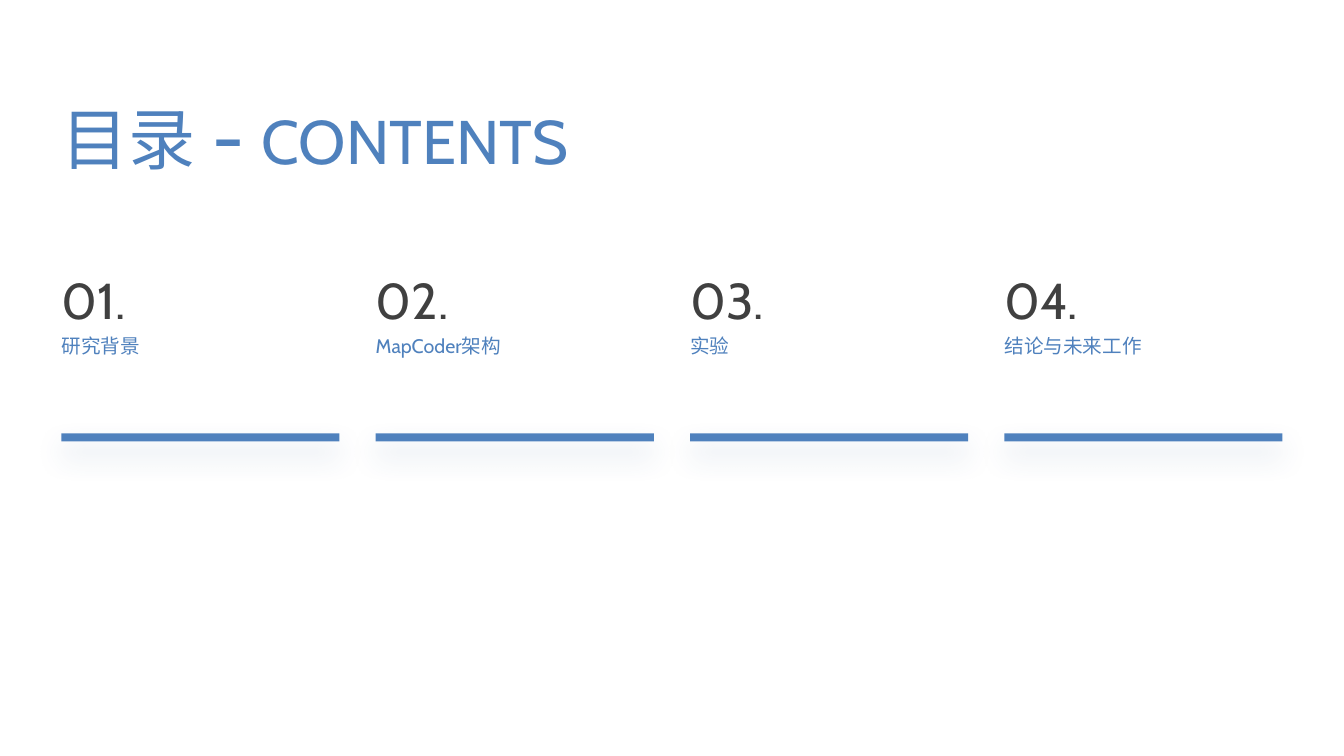
"""Build a contents slide with four numbered sections in equal columns."""
from lxml import etree
from pptx import Presentation
from pptx import util as u
from pptx.dml.color import RGBColor
from pptx.enum import shapes, text
from pptx.oxml.ns import qn

COLORS = {"blue": "4F81BD", "dark": "404040", "shadow": "376092"}
SECTIONS = ["研究背景", "MapCoder架构", "实验", "结论与未来工作"]
TITLE_SPANS = [("目录", 48), (" - ", 54), ("CONTENTS", 44)]
LEFT, PITCH, COLUMN = 0.61, 3.12, 2.76


def add_text(page, left, top, width, height, spans, color):
    box = page.shapes.add_textbox(*map(u.Inches, (left, top, width, height)))
    frame = box.text_frame
    frame.word_wrap = True
    frame.margin_left = frame.margin_right = 0
    frame.margin_top = frame.margin_bottom = 0
    for words, size in spans:
        span = frame.paragraphs[0].add_run()
        span.text = words
        span.font.size = u.Pt(size)
        span.font.name = "Cabin"
        span.font.color.rgb = RGBColor.from_string(COLORS[color])
    return frame


def add_soft_shadow(bar):
    bar.shadow.inherit = False
    effects = bar._element.spPr.find(qn("a:effectLst"))
    shadow = etree.SubElement(
        effects, qn("a:outerShdw"), blurRad=str(u.Pt(20)), dist=str(u.Pt(10)),
        dir=str(90 * 60000), algn="t", rotWithShape="0")
    tint = etree.SubElement(shadow, qn("a:srgbClr"), val=COLORS["shadow"])
    etree.SubElement(tint, qn("a:alpha"), val="20000")


deck = Presentation()
deck.slide_width, deck.slide_height = u.Inches(13.34), u.Inches(7.5)
page = deck.slides.add_slide(deck.slide_layouts[6])

for column, section in enumerate(SECTIONS):
    left = LEFT + column * PITCH
    add_text(page, left, 3.31, COLUMN, 0.94, [(section, 14)], "blue")
    add_text(page, left, 2.67, COLUMN, 0.59, [(f"{column + 1:02}.", 36)], "dark")
    bar = page.shapes.add_shape(
        shapes.MSO_SHAPE.RECTANGLE, *map(u.Inches, (left, 4.3, COLUMN, 0.08)))
    bar.fill.solid()
    bar.fill.fore_color.rgb = RGBColor.from_string(COLORS["blue"])
    bar.line.fill.background()
    add_soft_shadow(bar)

title = add_text(page, LEFT, 0.88, 7.04, 0.91, TITLE_SPANS, "blue")
title.vertical_anchor = text.MSO_ANCHOR.MIDDLE

deck.save("out.pptx")
